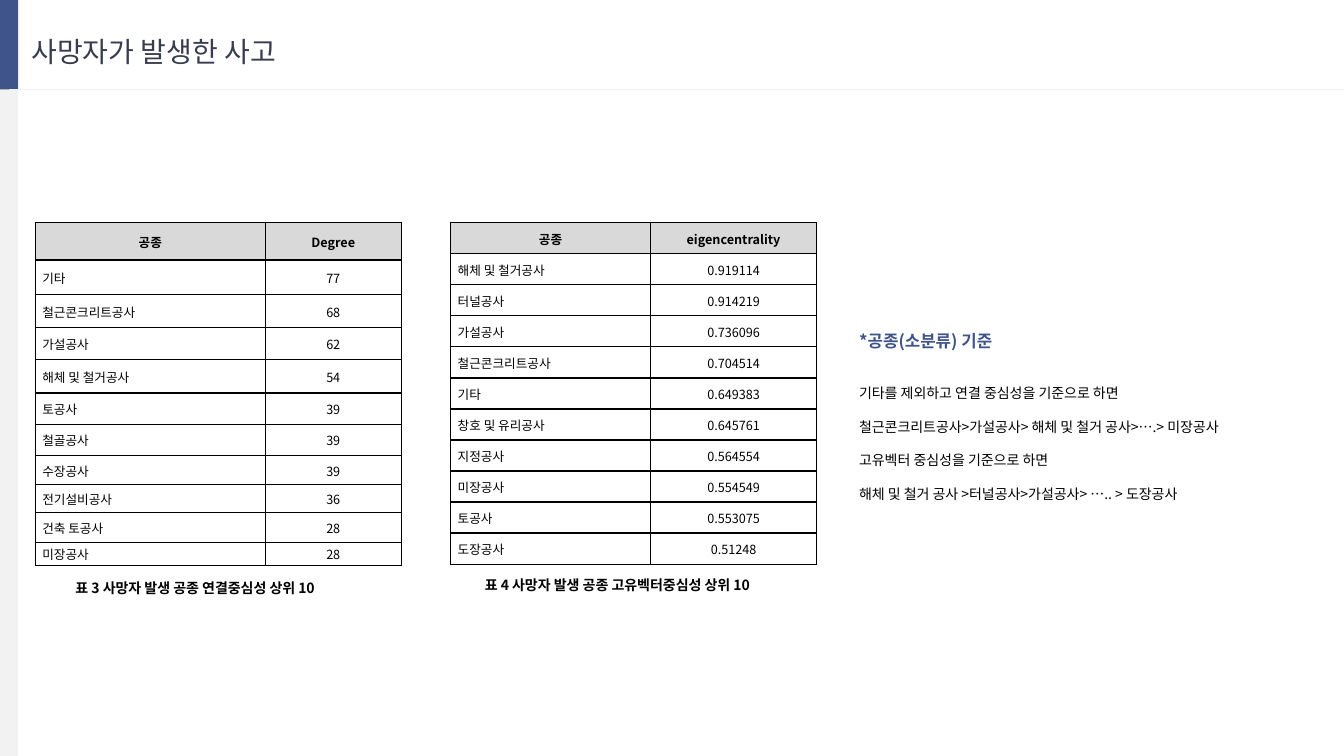
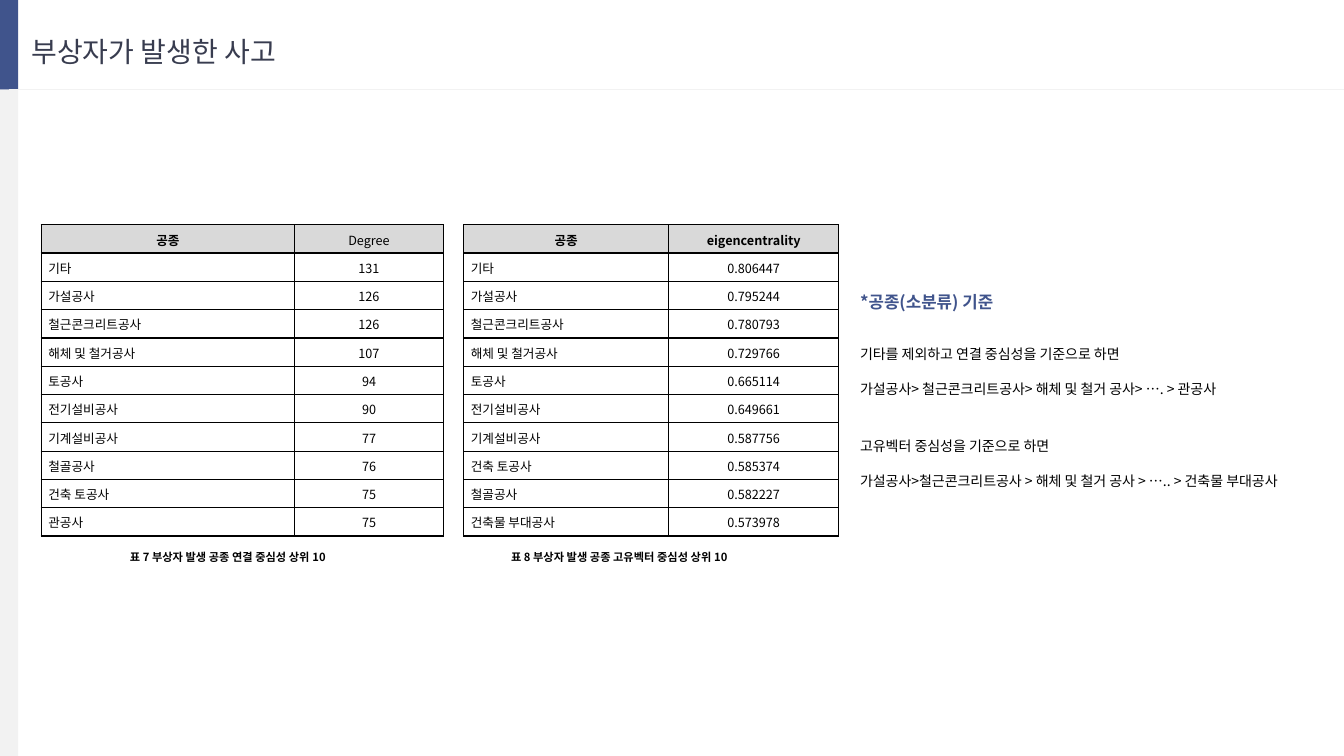
from lxml import etree
from pptx import Presentation
from pptx.dml.color import RGBColor
from pptx.enum import shapes, text
from pptx.oxml import ns
from pptx.util import Inches, Pt

FONT = "Noto Sans CJK KR"
BLUE, PALE, DARK, BLACK, HEADER = "40548C", "F2F2F2", "383C4F", "000000", "D9D9D9"
BAND_WIDTH, BAND_HEIGHT = 0.18, 0.89
NOTE_HEADING = "*공종(소분류) 기준"


def color(value):
    return RGBColor.from_string(value)


def style(paragraph, size, fill=BLACK, bold=False, align=text.PP_ALIGN.LEFT, line=1.07, before=0, after=0):
    paragraph.alignment = align
    paragraph.line_spacing = line
    paragraph.space_before, paragraph.space_after = Pt(before), Pt(after)
    for run in paragraph.runs:
        run.font.name, run.font.size, run.font.bold = FONT, Pt(size), bold
        run.font.color.rgb = color(fill)
        east_asian = etree.SubElement(run.font._element, ns.qn("a:ea"))
        east_asian.set("typeface", FONT)


deck = [
    {
        "title": "사망자가 발생한 사고",
        "notes_at": (8.42, 3.24, 4.2, 1.82),
        "notes": [
            ("기타를 제외하고 연결 중심성을 기준으로 하면", 24),
            ("철근콘크리트공사>가설공사> 해체 및 철거 공사>….> 미장공사", 12),
            ("고유벡터 중심성을 기준으로 하면", 12),
            ("해체 및 철거 공사 >터널공사>가설공사> ….. > 도장공사", 12),
        ],
        "caption_size": 10,
        "tables": [
            {
                "at": (0.35, 2.21), "columns": (2.28, 1.35),
                "heights": [0.37, 0.34, 0.33, 0.32, 0.33, 0.31, 0.31, 0.29, 0.28, 0.29, 0.23],
                "measure": "Degree", "bold_measure": True,
                "rows": [("기타", "77"), ("철근콘크리트공사", "68"), ("가설공사", "62"),
                         ("해체 및 철거공사", "54"), ("토공사", "39"), ("철골공사", "39"),
                         ("수장공사", "39"), ("전기설비공사", "36"), ("건축 토공사", "28"),
                         ("미장공사", "28")],
                "caption": "표 3 사망자 발생 공종 연결중심성 상위 10",
                "caption_at": (0.65, 5.69, 3.16, 0.28),
            },
            {
                "at": (4.47, 2.21), "columns": (1.98, 1.65), "heights": [3.39 / 11] * 11,
                "measure": "eigencentrality", "bold_measure": True,
                "rows": [("해체 및 철거공사", "0.919114"), ("터널공사", "0.914219"),
                         ("가설공사", "0.736096"), ("철근콘크리트공사", "0.704514"),
                         ("기타", "0.649383"), ("창호 및 유리공사", "0.645761"),
                         ("지정공사", "0.564554"), ("미장공사", "0.554549"),
                         ("토공사", "0.553075"), ("도장공사", "0.51248")],
                "caption": "표 4 사망자 발생 공종 고유벡터중심성 상위 10",
                "caption_at": (4.71, 5.66, 3.16, 0.28),
            },
        ],
    },
    {
        "title": "부상자가 발생한 사고",
        "notes_at": (8.43, 2.85, 4.9, 2.06),
        "notes": [
            ("기타를 제외하고 연결 중심성을 기준으로 하면", 24),
            ("가설공사> 철근콘크리트공사> 해체 및 철거 공사> …. > 관공사", 13),
            ("고유벡터 중심성을 기준으로 하면", 28.5),
            ("가설공사>철근콘크리트공사 > 해체 및 철거 공사 > ….. > 건축물 부대공사", 13),
        ],
        "caption_size": 8,
        "tables": [
            {
                "at": (0.41, 2.23), "columns": (2.51, 1.48), "heights": [3.09 / 11] * 11,
                "measure": "Degree", "bold_measure": False,
                "rows": [("기타", "131"), ("가설공사", "126"), ("철근콘크리트공사", "126"),
                         ("해체 및 철거공사", "107"), ("토공사", "94"), ("전기설비공사", "90"),
                         ("기계설비공사", "77"), ("철골공사", "76"), ("건축 토공사", "75"),
                         ("관공사", "75")],
                "caption": "표 7 부상자 발생 공종 연결 중심성 상위 10",
                "caption_at": (1.19, 5.4, 2.78, 0.23),
            },
            {
                "at": (4.6, 2.23), "columns": (2.03, 1.69), "heights": [3.09 / 11] * 11,
                "measure": "eigencentrality", "bold_measure": True,
                "rows": [("기타", "0.806447"), ("가설공사", "0.795244"),
                         ("철근콘크리트공사", "0.780793"), ("해체 및 철거공사", "0.729766"),
                         ("토공사", "0.665114"), ("전기설비공사", "0.649661"),
                         ("기계설비공사", "0.587756"), ("건축 토공사", "0.585374"),
                         ("철골공사", "0.582227"), ("건축물 부대공사", "0.573978")],
                "caption": "표 8 부상자 발생 공종 고유벡터 중심성 상위 10",
                "caption_at": (4.97, 5.4, 2.78, 0.23),
            },
        ],
    },
]

presentation = Presentation()
presentation.slide_width, presentation.slide_height = Inches(13.33), Inches(7.5)
layout = presentation.slide_layouts[1]
for placeholder in list(layout.placeholders):
    if placeholder.placeholder_format.idx >= 10:
        placeholder.element.getparent().remove(placeholder.element)
layout_title = layout.placeholders[0]
layout_title.left, layout_title.top = Inches(0.21), Inches(0.29)
layout_title.width, layout_title.height = Inches(2.92), Inches(0.44)
slides = [presentation.slides.add_slide(layout) for _ in deck]

frame_parts = []
for top, height, fill in [(0, BAND_HEIGHT, BLUE), (BAND_HEIGHT, 7.5 - BAND_HEIGHT, PALE)]:
    band = slides[0].shapes.add_shape(
        shapes.MSO_SHAPE.RECTANGLE, 0, Inches(top), Inches(BAND_WIDTH), Inches(height))
    band.shadow.inherit = False
    band.fill.solid()
    band.fill.fore_color.rgb = color(fill)
    band.line.fill.background()
    frame_parts.append(band)
rule = slides[0].shapes.add_connector(
    shapes.MSO_CONNECTOR.STRAIGHT, Inches(BAND_WIDTH / 2), Inches(BAND_HEIGHT),
    Inches(13.33), Inches(BAND_HEIGHT))
rule.line.color.rgb = color(PALE)
rule.line.width = Pt(0.5)
etree.SubElement(rule.element.spPr, ns.qn("a:effectLst"))
frame_parts.append(rule)
for position, part in enumerate(frame_parts, start=2):
    layout.shapes.element.insert(position, part.element)

for slide, content in zip(slides, deck):
    title = slide.shapes.title
    title.text_frame.text = content["title"]
    title.text_frame.vertical_anchor = text.MSO_ANCHOR.TOP
    title.text_frame.auto_size = text.MSO_AUTO_SIZE.NONE
    style(title.text_frame.paragraphs[0], 20, DARK, line=Pt(24))

    notes = slide.placeholders[1]
    notes.left, notes.top, notes.width, notes.height = map(Inches, content["notes_at"])
    notes.text_frame.auto_size = text.MSO_AUTO_SIZE.NONE
    notes.text_frame.text = "\n".join([NOTE_HEADING] + [line for line, _ in content["notes"]])
    heading, *lines = notes.text_frame.paragraphs
    style(heading, 12, BLUE, True, line=Pt(14))
    for paragraph, (_, before) in zip(lines, content["notes"]):
        style(paragraph, 10, line=Pt(12), before=before)
    for paragraph in notes.text_frame.paragraphs:
        properties = paragraph._p.get_or_add_pPr()
        properties.set("marL", "0")
        properties.set("indent", "0")
        etree.SubElement(properties, ns.qn("a:buNone"))

    for item in content["tables"]:
        left, top = item["at"]
        rows = [("공종", item["measure"])] + item["rows"]
        table = slide.shapes.add_table(
            len(rows), 2, Inches(left), Inches(top),
            Inches(sum(item["columns"])), Inches(sum(item["heights"]))).table
        table.first_row = table.horz_banding = False
        for column, width in zip(table.columns, item["columns"]):
            column.width = Inches(width)
        for row_index, (values, height) in enumerate(zip(rows, item["heights"])):
            table.rows[row_index].height = Inches(height)
            for column_index, value in enumerate(values):
                is_header = row_index == 0
                cell = table.cell(row_index, column_index)
                cell.text_frame.text = value
                cell.vertical_anchor = text.MSO_ANCHOR.MIDDLE
                cell.margin_left = cell.margin_right = Inches(0.07)
                cell.margin_top = cell.margin_bottom = 0
                centred = is_header or column_index == 1
                style(cell.text_frame.paragraphs[0], 9,
                      bold=is_header and (column_index == 0 or item["bold_measure"]),
                      align=text.PP_ALIGN.CENTER if centred else text.PP_ALIGN.LEFT, after=8)
                properties = cell._tc.get_or_add_tcPr()
                for side in ("lnL", "lnR", "lnT", "lnB"):
                    border = etree.SubElement(properties, ns.qn("a:" + side), w=str(Pt(1)))
                    border_fill = etree.SubElement(border, ns.qn("a:solidFill"))
                    etree.SubElement(border_fill, ns.qn("a:srgbClr"), val=BLACK)
                if is_header:
                    cell.fill.solid()
                    cell.fill.fore_color.rgb = color(HEADER)
                else:
                    cell.fill.background()

        caption = slide.shapes.add_textbox(*map(Inches, item["caption_at"]))
        caption.text_frame.word_wrap = True
        caption.text_frame.text = item["caption"]
        style(caption.text_frame.paragraphs[0], content["caption_size"], bold=True,
              align=text.PP_ALIGN.JUSTIFY, after=8)

presentation.save("out.pptx")
